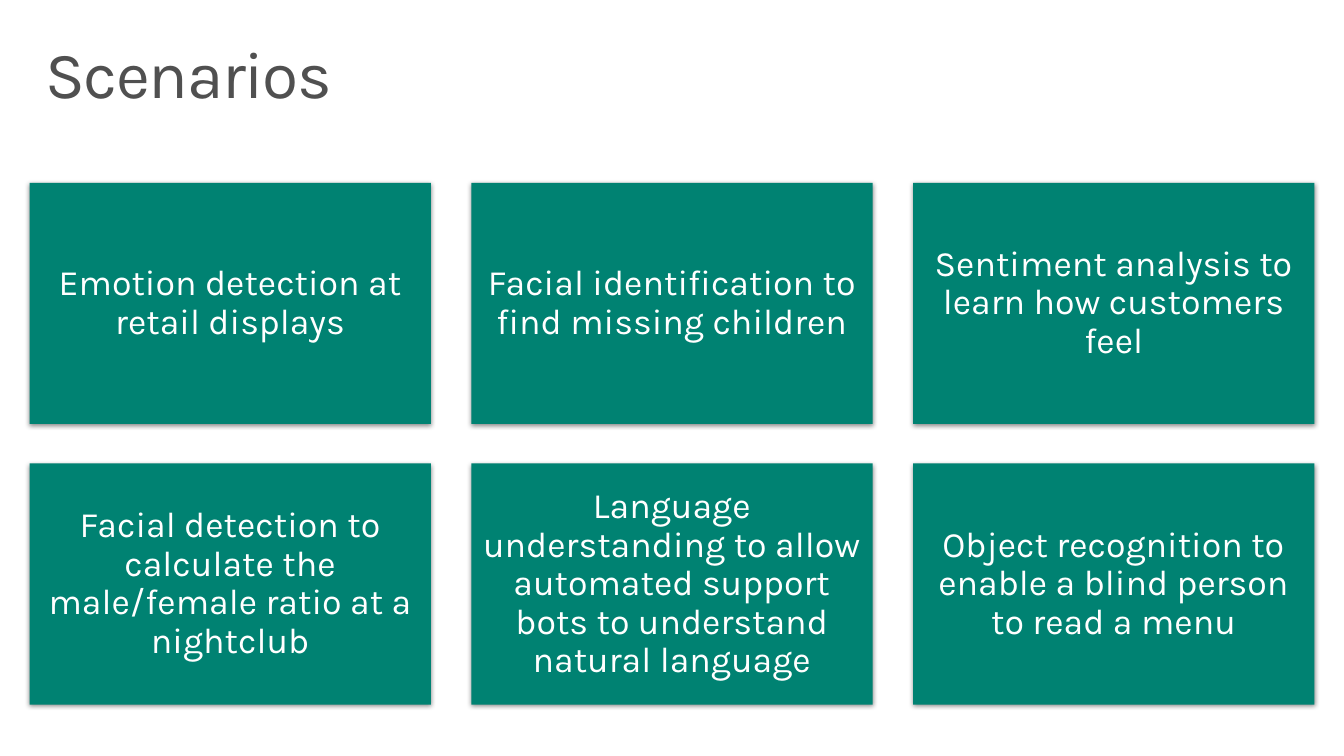
"""Build the Scenarios slide: a title above a grid of six cards."""
from lxml.etree import SubElement as Sub
from pptx import Presentation
from pptx.dml.color import RGBColor as RGB
from pptx.enum.shapes import MSO_SHAPE as Shape
from pptx.enum.text import MSO_ANCHOR as Anchor, PP_ALIGN as Align
from pptx.oxml.ns import qn
from pptx.util import Inches, Pt

COLORS = {"title": "505050", "card": "008272", "text": "FFFFFF", "shade": "000000"}
CARDS = [
    "Emotion detection at retail displays",
    "Facial identification to find missing children",
    "Sentiment analysis to learn how customers feel",
    "Facial detection to calculate the male/female ratio at a nightclub",
    "Language understanding to allow automated support bots to understand natural language",
    "Object recognition to enable a blind person to read a menu",
]
LEFT, TOP, WIDTH, HEIGHT, GAP = 0.3, 1.85, 4.06, 2.44, 0.41


def write(shape, text, size, color, align, anchor, pads):
    """Put one styled paragraph in a shape and return its run."""
    frame = shape.text_frame
    wide, high = (Inches(pad) for pad in pads)
    look = {"word_wrap": True, "vertical_anchor": anchor, "margin_left": wide,
            "margin_right": wide, "margin_top": high, "margin_bottom": high}
    for name, value in look.items():
        setattr(frame, name, value)
    para = frame.paragraphs[0]
    para.alignment = align
    para.line_spacing = 0.9
    run = para.add_run()
    run.text = text
    run.font.name = "Karla"
    run.font.size = Pt(size)
    run.font.color.rgb = RGB.from_string(COLORS[color])
    return run


deck = Presentation()
deck.slide_width, deck.slide_height = Inches(13.6), Inches(7.65)
slide = deck.slides.add_slide(deck.slide_layouts[6])

title = slide.shapes.add_textbox(Inches(LEFT), Inches(0.32), Inches(13), Inches(1))
run = write(title, "Scenarios", 48, "title", Align.LEFT, Anchor.TOP, (0.16, 0.1))
run.font._element.set("spc", "-100")

for index, text in enumerate(CARDS):
    row, col = divmod(index, 3)
    card = slide.shapes.add_shape(
        Shape.RECTANGLE, Inches(LEFT + col * (WIDTH + GAP)),
        Inches(TOP + row * (HEIGHT + 0.4)), Inches(WIDTH), Inches(HEIGHT))
    card.fill.solid()
    card.fill.fore_color.rgb = RGB.from_string(COLORS["card"])
    card.line.fill.background()
    card.shadow.inherit = False
    effects = card._element.spPr.find(qn("a:effectLst"))
    shade = Sub(effects, qn("a:outerShdw"), blurRad=str(Pt(3.5)), dist=str(Pt(1.1)),
                dir="5400000", algn="t", rotWithShape="0")
    tint = Sub(shade, qn("a:srgbClr"), val=COLORS["shade"])
    Sub(tint, qn("a:alpha"), val="45000")
    write(card, text, 26, "text", Align.CENTER, Anchor.MIDDLE, (0.11, 0.11))

deck.save("out.pptx")
